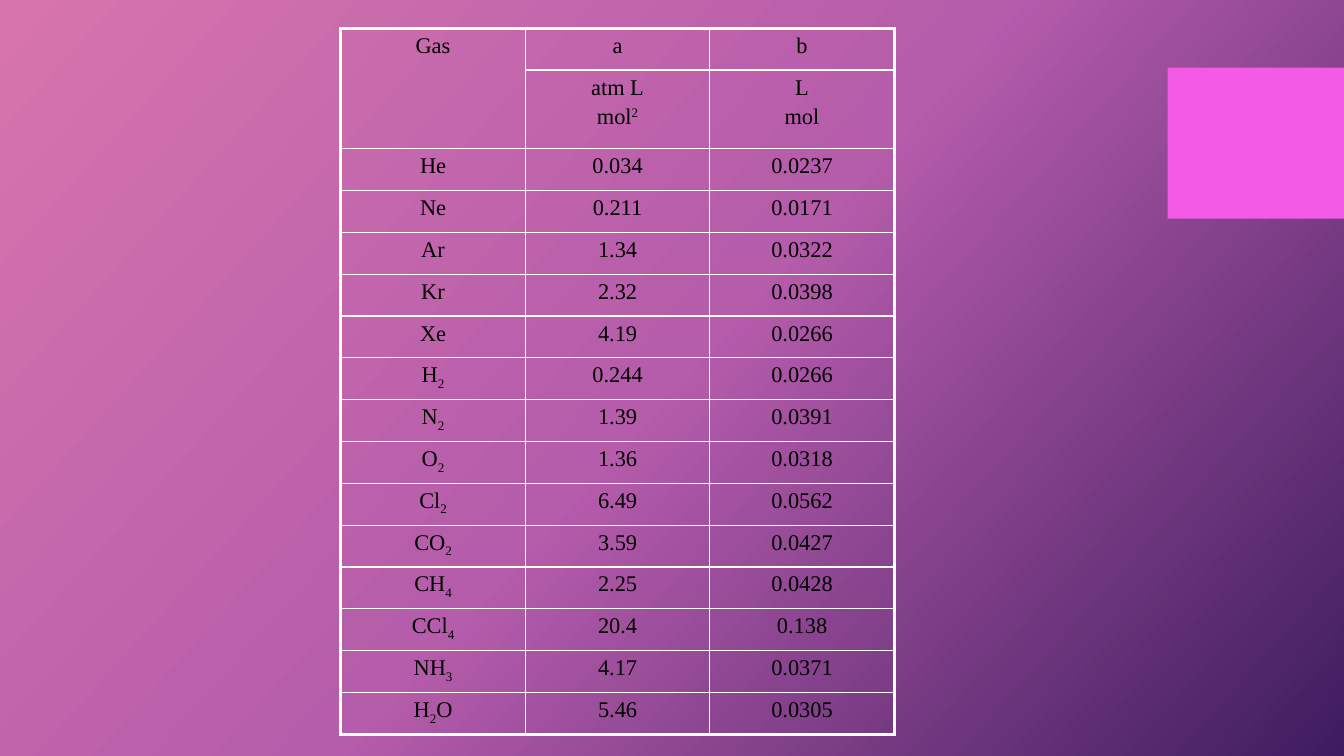
from dataclasses import dataclass

from lxml.etree import SubElement
from pptx import Presentation
from pptx.dml.color import RGBColor
from pptx.enum.shapes import MSO_SHAPE
from pptx.enum.text import PP_ALIGN
from pptx.oxml.ns import qn
from pptx.util import Inches, Pt

WHITE = "FFFFFF"
THIN, THICK = 1, 2.25
HEADER_ROWS = 2
TABLE_HEIGHT = 7.01
UNIT_ROW_HEIGHT = 0.78
COLUMN_WIDTH = 1.83
BASELINES = {"_": "-25000", "^": "30000"}


@dataclass
class Gas:
    formula: str  # "_" lowers the next character
    a: str
    b: str


@dataclass
class GradientStop:
    percent: int
    tint: str


GASES = [
    Gas("He", "0.034", "0.0237"),
    Gas("Ne", "0.211", "0.0171"),
    Gas("Ar", "1.34", "0.0322"),
    Gas("Kr", "2.32", "0.0398"),
    Gas("Xe", "4.19", "0.0266"),
    Gas("H_2", "0.244", "0.0266"),
    Gas("N_2", "1.39", "0.0391"),
    Gas("O_2", "1.36", "0.0318"),
    Gas("Cl_2", "6.49", "0.0562"),
    Gas("CO_2", "3.59", "0.0427"),
    Gas("CH_4", "2.25", "0.0428"),
    Gas("CCl_4", "20.4", "0.138"),
    Gas("NH_3", "4.17", "0.0371"),
    Gas("H_2O", "5.46", "0.0305"),
]
HEADER = [["Gas", "a", "b"], ["", "atm L\nmol^2", "L\nmol"]]
BACKGROUND = [GradientStop(0, "D774AD"), GradientStop(50, "B55CAB"),
              GradientStop(100, "3E1C5F")]


def color(value: str) -> RGBColor:
    return RGBColor.from_string(value)


def paint_background(page, stops: list[GradientStop], angle: float) -> None:
    fill = page.background.fill
    fill.gradient()
    fill.gradient_angle = 360 - angle
    stop_list = next(page.element.iter(qn("a:gsLst")))
    stop_list.clear()
    for stop in stops:
        node = SubElement(stop_list, qn("a:gs"), pos=str(stop.percent * 1000))
        SubElement(node, qn("a:srgbClr"), val=stop.tint)


def split_marks(text: str) -> list[tuple[str, str]]:
    """Split text into pieces, each with its baseline ("" for normal)."""
    pieces: list[tuple[str, str]] = []
    plain, position = "", 0
    while position < len(text):
        mark = text[position]
        if mark in BASELINES:
            pieces += [(plain, ""), (text[position + 1], BASELINES[mark])]
            plain, position = "", position + 2
        else:
            plain, position = plain + mark, position + 1
    return [piece for piece in pieces + [(plain, "")] if piece[0]]


def write_text(frame, text: str, *, size: float = 16,
               font: str = "Times New Roman", tint: str = "000000",
               space_before: int = 20) -> None:
    for index, line in enumerate(text.split("\n")):
        para = frame.paragraphs[0] if index == 0 else frame.add_paragraph()
        para.alignment = PP_ALIGN.CENTER
        # Spacing as a percentage of the line
        spacing = SubElement(para._p.get_or_add_pPr(), qn("a:spcBef"))
        SubElement(spacing, qn("a:spcPct"), val=str(space_before * 1000))
        for piece, baseline in split_marks(line):
            span = para.add_run()
            span.text = piece
            span.font.size = Pt(size)
            span.font.name = font
            span.font.color.rgb = color(tint)
            if baseline:
                span._r.get_or_add_rPr().set("baseline", baseline)


def draw_borders(cell, widths: dict[str, float], tint: str = WHITE) -> None:
    properties = cell._tc.get_or_add_tcPr()
    for side, width in widths.items():
        line = SubElement(properties, qn(f"a:ln{side}"), w=str(Pt(width)))
        solid = SubElement(line, qn("a:solidFill"))
        SubElement(solid, qn("a:srgbClr"), val=tint)


def add_gas_table(page, left: float, top: float) -> None:
    content = HEADER + [[gas.formula, gas.a, gas.b] for gas in GASES]
    last_row, last_column = len(content) - 1, len(HEADER[0]) - 1
    table = page.shapes.add_table(
        len(content), len(HEADER[0]), Inches(left), Inches(top),
        Inches(COLUMN_WIDTH * len(HEADER[0])), Inches(TABLE_HEIGHT)).table
    table.first_row = table.horz_banding = False

    # Column widths and row heights
    for column in table.columns:
        column.width = Inches(COLUMN_WIDTH)
    plain_height = (TABLE_HEIGHT - UNIT_ROW_HEIGHT) / last_row
    for index, row in enumerate(table.rows):
        unit_row = index == HEADER_ROWS - 1
        row.height = Inches(UNIT_ROW_HEIGHT if unit_row else plain_height)

    # Cells, with a thick frame around the outside
    table.cell(0, 0).merge(table.cell(HEADER_ROWS - 1, 0))
    for r, texts in enumerate(content):
        for c, text in enumerate(texts):
            cell = table.cell(r, c)
            draw_borders(cell, {
                "L": THICK if c == 0 else THIN,
                "R": THICK if c == last_column else THIN,
                "T": THICK if r == 0 else THIN,
                "B": THICK if r == last_row else THIN,
            })
            cell.fill.background()
            if text:
                write_text(cell.text_frame, text)


def add_accent_box(page) -> None:
    box = page.shapes.add_shape(MSO_SHAPE.RECTANGLE, Inches(11.58),
                                Inches(0.67), Inches(1.75), Inches(1.5))
    box.shadow.inherit = False
    box.fill.solid()
    box.fill.fore_color.rgb = color("F35AE6")
    box.line.fill.background()


def main() -> None:
    deck = Presentation()
    deck.slide_width, deck.slide_height = Inches(13.33), Inches(7.5)
    page = deck.slides.add_slide(deck.slide_layouts[6])
    paint_background(page, BACKGROUND, 42)
    add_accent_box(page)
    add_gas_table(page, 3.38, 0.28)
    deck.save("out.pptx")


if __name__ == "__main__":
    main()
